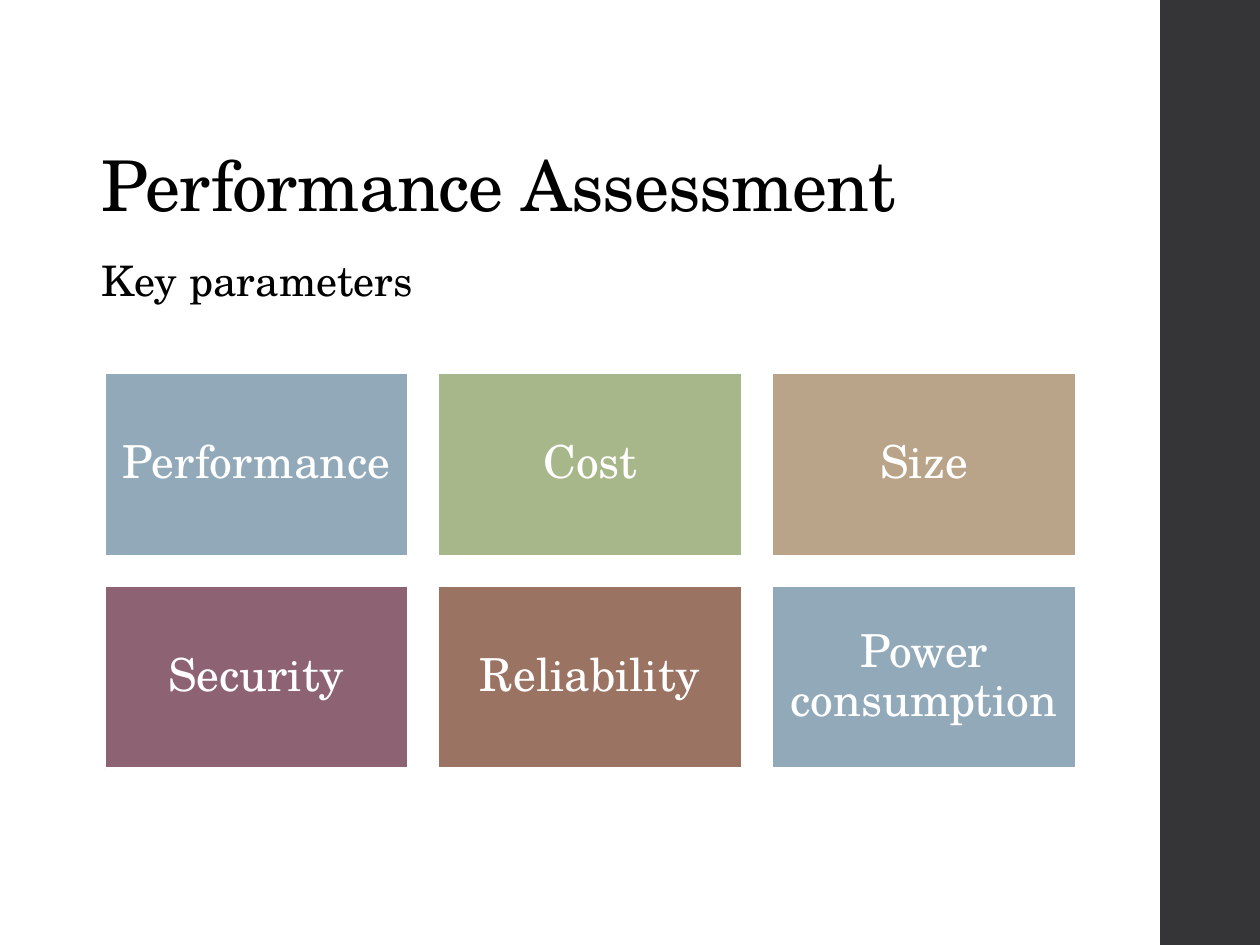
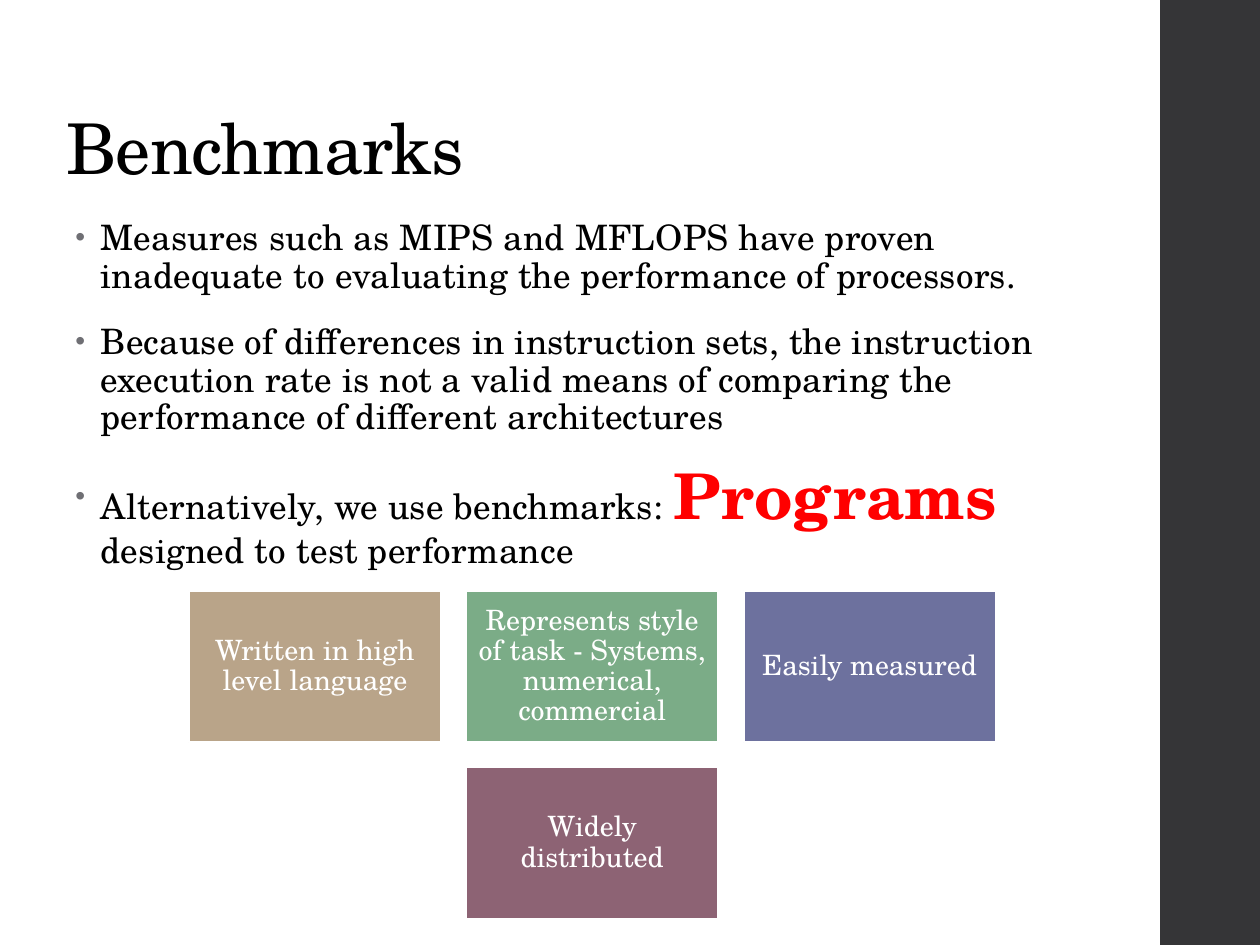
"""Build two slides on performance assessment and benchmarks."""
import lxml.etree
import pptx
import pptx.dml.color
import pptx.enum.shapes
import pptx.enum.text
import pptx.oxml.ns
import pptx.util

Cm, Pt = pptx.util.Cm, pptx.util.Pt
ANCHOR = pptx.enum.text.MSO_ANCHOR

FONT = "TeX Gyre Schola"
COLOURS = {
    "text": "000000", "white": "FFFFFF", "band": "353537",
    "bullet": "6F6F74", "accent": "FF0000",
    "blue": "92A9B9", "olive": "A7B789", "tan": "B9A489",
    "plum": "8D6374", "brown": "9B7362", "green": "7BAC87",
    "indigo": "6D719E",
}
SLIDE_WIDTH, SLIDE_HEIGHT = 25.4, 19.05
BAND_LEFT = 23.39

BODY = {"size": 20, "spacing": 10}
KEYWORD = {"size": 36, "spacing": 10, "colour": "accent", "bold": True}

SLIDES = [
    {
        "title": "Performance Assessment",
        "title_box": (1.8, 1.02, 20.19, 3.68),
        "body": [[("Key parameters", {"size": 24, "spacing": 10})]],
        "body_box": (1.8, 5.13, 20.9, 12.09),
        "bullets": False,
        "tiles": [
            [("Performance", "blue"), ("Cost", "olive"), ("Size", "tan")],
            [("Security", "plum"), ("Reliability", "brown"),
             ("Power consumption", "blue")],
        ],
        "grid": {"centre": 11.9, "top": 7.52, "width": 6.12, "height": 3.68,
                 "gap": 0.61, "inset": 0.28, "size": 26},
    },
    {
        "title": "Benchmarks",
        "title_box": (1.09, 1.02, 21.72, 2.92),
        "body": [
            [("Measures such as MIPS and MFLOPS have proven inadequate to "
              "evaluating the performance of processors.", BODY)],
            [("Because of differences in instruction sets, the instruction "
              "execution rate is not a valid means of comparing the "
              "performance of different architectures", BODY)],
            [("Alternatively, we use benchmarks: ", BODY),
             ("Programs", KEYWORD),
             (" designed to test performance", BODY)],
        ],
        "body_box": (1.27, 4.32, 21.72, 13.72),
        "bullets": True,
        "tiles": [
            [("Written in high level language", "tan"),
             ("Represents style of task - Systems, numerical, commercial",
              "green"),
             ("Easily measured", "indigo")],
            [("Widely distributed", "plum")],
        ],
        "grid": {"centre": 11.94, "top": 11.91, "width": 5.08, "height": 3.05,
                 "gap": 0.51, "inset": 0.18, "size": 16},
    },
]


def rgb(colour):
    return pptx.dml.color.RGBColor.from_string(COLOURS[colour])


def add_run(paragraph, text, size, colour="text", bold=False, spacing=0):
    run = paragraph.add_run()
    run.text = text
    run.font.name = FONT
    run.font.size = Pt(size)
    run.font.bold = bold
    run.font.color.rgb = rgb(colour)
    if spacing:
        run._r.get_or_add_rPr().set("spc", str(spacing))


def add_bullet(paragraph):
    properties = paragraph._p.get_or_add_pPr()
    indent = Cm(0.51)
    properties.set("marL", str(indent))
    properties.set("indent", str(-indent))

    def child(parent, tag, **attributes):
        return lxml.etree.SubElement(parent, pptx.oxml.ns.qn(tag), attributes)

    child(child(properties, "a:buClr"), "a:srgbClr", val=COLOURS["bullet"])
    child(properties, "a:buSzPct", val="80000")
    child(properties, "a:buFont", typeface="Arial")
    child(properties, "a:buChar", char="•")


def add_text(slide, box, paragraphs, anchor, bullets=False):
    frame = slide.shapes.add_textbox(*map(Cm, box)).text_frame
    frame.word_wrap = True
    frame.vertical_anchor = anchor
    for index, runs in enumerate(paragraphs):
        paragraph = frame.add_paragraph() if index else frame.paragraphs[0]
        paragraph.line_spacing = 0.9
        if index:
            paragraph.space_before = Pt(14)
        paragraph.space_after = Pt(2)
        if bullets:
            add_bullet(paragraph)
        for text, style in runs:
            add_run(paragraph, text, **style)


def add_rectangle(slide, box, colour):
    rectangle = slide.shapes.add_shape(
        pptx.enum.shapes.MSO_SHAPE.RECTANGLE, *map(Cm, box))
    rectangle.shadow.inherit = False
    rectangle.fill.solid()
    rectangle.fill.fore_color.rgb = rgb(colour)
    rectangle.line.fill.background()
    return rectangle


def add_tile(slide, box, text, colour, inset, size):
    tile = add_rectangle(slide, box, colour)
    tile.line.color.rgb = rgb("white")
    tile.line.width = Pt(1.1)
    frame = tile.text_frame
    frame.word_wrap = True
    frame.vertical_anchor = ANCHOR.MIDDLE
    frame.margin_left = frame.margin_right = Cm(inset)
    frame.margin_top = frame.margin_bottom = Cm(inset)
    paragraph = frame.paragraphs[0]
    paragraph.alignment = pptx.enum.text.PP_ALIGN.CENTER
    paragraph.line_spacing = 0.9
    add_run(paragraph, text, size, "white")


def add_tiles(slide, rows, grid):
    width, height, gap = grid["width"], grid["height"], grid["gap"]
    for row, tiles in enumerate(rows):
        row_width = len(tiles) * (width + gap) - gap
        left = grid["centre"] - row_width / 2
        top = grid["top"] + row * (height + gap)
        for column, (text, colour) in enumerate(tiles):
            box = (left + column * (width + gap), top, width, height)
            add_tile(slide, box, text, colour, grid["inset"], grid["size"])


def main():
    deck = pptx.Presentation()
    deck.slide_width, deck.slide_height = Cm(SLIDE_WIDTH), Cm(SLIDE_HEIGHT)
    band_box = (BAND_LEFT, 0, SLIDE_WIDTH - BAND_LEFT, SLIDE_HEIGHT)
    title_style = {"size": 40, "spacing": -50}
    for content in SLIDES:
        slide = deck.slides.add_slide(deck.slide_layouts[6])
        add_rectangle(slide, band_box, "band")
        add_text(slide, content["title_box"],
                 [[(content["title"], title_style)]], ANCHOR.BOTTOM)
        add_text(slide, content["body_box"], content["body"], ANCHOR.TOP,
                 content["bullets"])
        add_tiles(slide, content["tiles"], content["grid"])
    deck.save("out.pptx")


if __name__ == "__main__":
    main()
